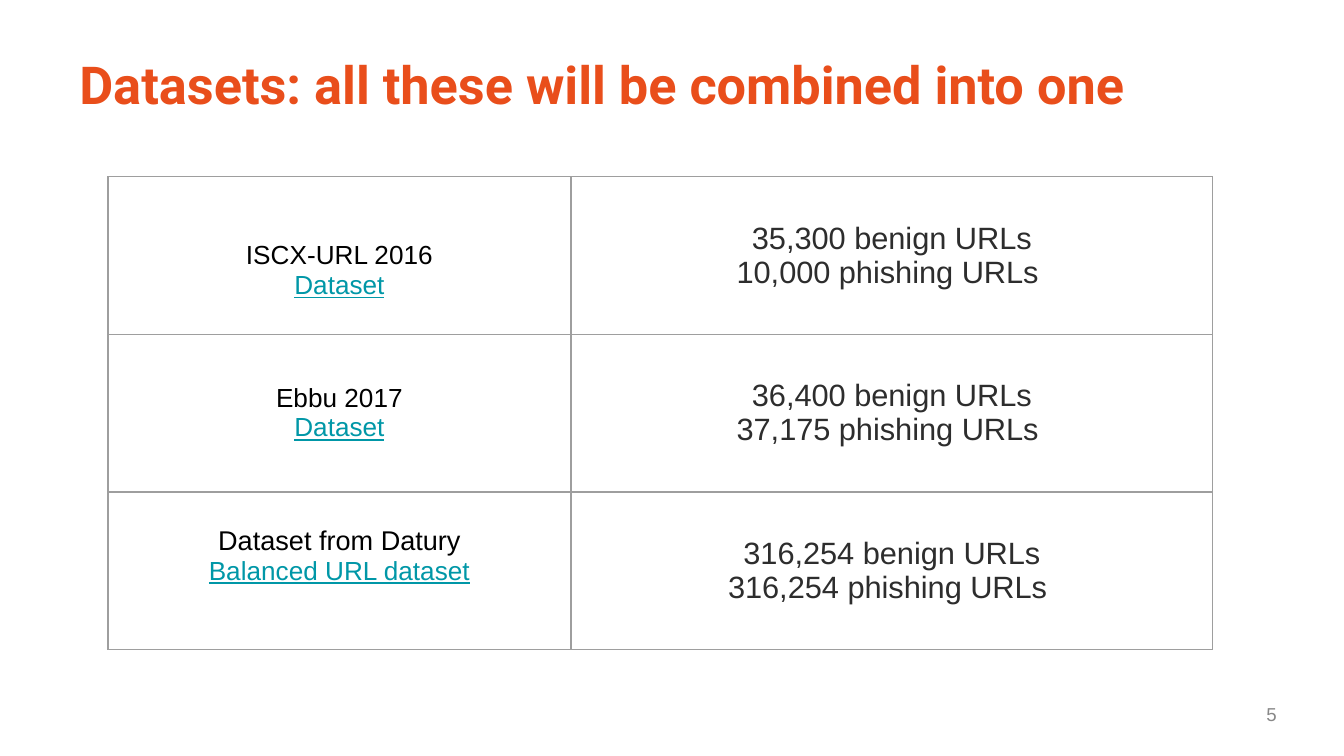
from lxml import etree
from pptx import Presentation
from pptx.dml.color import RGBColor
from pptx.enum.text import MSO_ANCHOR, PP_ALIGN
from pptx.oxml.ns import qn
from pptx.util import Cm, Pt

LEFT, CENTER, RIGHT = PP_ALIGN.LEFT, PP_ALIGN.CENTER, PP_ALIGN.RIGHT
MIDDLE = MSO_ANCHOR.MIDDLE

ORANGE = RGBColor(0xE9, 0x4E, 0x1B)
BLACK = RGBColor(0, 0, 0)
TEAL = RGBColor(0x00, 0x97, 0xA7)
DARK = RGBColor(0x2D, 0x2D, 0x2D)
GREY = RGBColor(0x88, 0x88, 0x88)
RULE = RGBColor(0x9E, 0x9E, 0x9E)

# Content: name, name size, link, benign, phishing, extra top and bottom inset (cm)
TITLE = "Datasets: all these will be combined into one"
PAGE = "5"
ROWS = [
    ("ISCX-URL 2016", 14, "Dataset", "35,300", "10,000", 0.57, 0),
    ("Ebbu 2017", 14, "Dataset", "36,400", "37,175", 0, 0),
    ("Dataset from Datury", 14.5, "Balanced URL dataset", "316,254", "316,254", 0, 0.57),
]
COLS = (8.75, 12.13)
HIGH = 2.98
PAD = 0.25


def add_line(frame, first, text, size, color, align, font="Arial", bold=False, under=False):
    para = frame.paragraphs[0] if first else frame.add_paragraph()
    para.alignment = align
    run = para.add_run()
    run.text = text
    run.font.name = font
    run.font.size = Pt(size)
    run.font.bold = bold
    run.font.underline = under
    run.font.color.rgb = color


def add_box(left, top, width, height, text, size, color, align, **style):
    box = slide.shapes.add_textbox(Cm(left), Cm(top), Cm(width), Cm(height))
    frame = box.text_frame
    frame.word_wrap = True
    frame.margin_left = frame.margin_right = 0
    frame.margin_top = frame.margin_bottom = 0
    add_line(frame, True, text, size, color, align, **style)


def set_cell(cell, lines, above=0, below=0):
    cell.vertical_anchor = MIDDLE
    cell.margin_left = cell.margin_right = Cm(PAD)
    cell.margin_top, cell.margin_bottom = Cm(PAD + above), Cm(PAD + below)
    for i, (text, size, color, under) in enumerate(lines):
        add_line(cell.text_frame, i == 0, text, size, color, CENTER, under=under)
    # Borders come before the fill in the cell properties
    props = cell._tc.get_or_add_tcPr()
    for side in ("a:lnL", "a:lnR", "a:lnT", "a:lnB"):
        edge = etree.SubElement(props, qn(side), w=str(Pt(0.75)))
        fill = etree.SubElement(edge, qn("a:solidFill"))
        etree.SubElement(fill, qn("a:srgbClr"), val=str(RULE))
    cell.fill.background()


prs = Presentation()
prs.slide_width, prs.slide_height = Cm(25.4), Cm(14.29)
slide = prs.slides.add_slide(prs.slide_layouts[6])

# Title
add_box(1.5, 0.99, 21.6, 1.24, TITLE, 28, ORANGE, LEFT, font="Roboto", bold=True)

# Table of datasets
table = slide.shapes.add_table(
    len(ROWS), len(COLS), Cm(2.04), Cm(3.34), Cm(sum(COLS)), Cm(HIGH * len(ROWS))
).table
table.first_row = table.horz_banding = False
for col, width in zip(table.columns, COLS):
    col.width = Cm(width)
for r, (name, size, link, benign, phish, above, below) in enumerate(ROWS):
    table.rows[r].height = Cm(HIGH)
    set_cell(table.cell(r, 0),
             [(name, size, BLACK, False), (link, 14, TEAL, True)], above, below)
    set_cell(table.cell(r, 1),
             [(benign + " benign URLs", 16.5, DARK, False),
              (phish + " phishing URLs ", 16.5, DARK, False)])

# Page number
add_box(18.29, 13.28, 5.84, 0.43, PAGE, 10, GREY, RIGHT)

prs.save("out.pptx")
